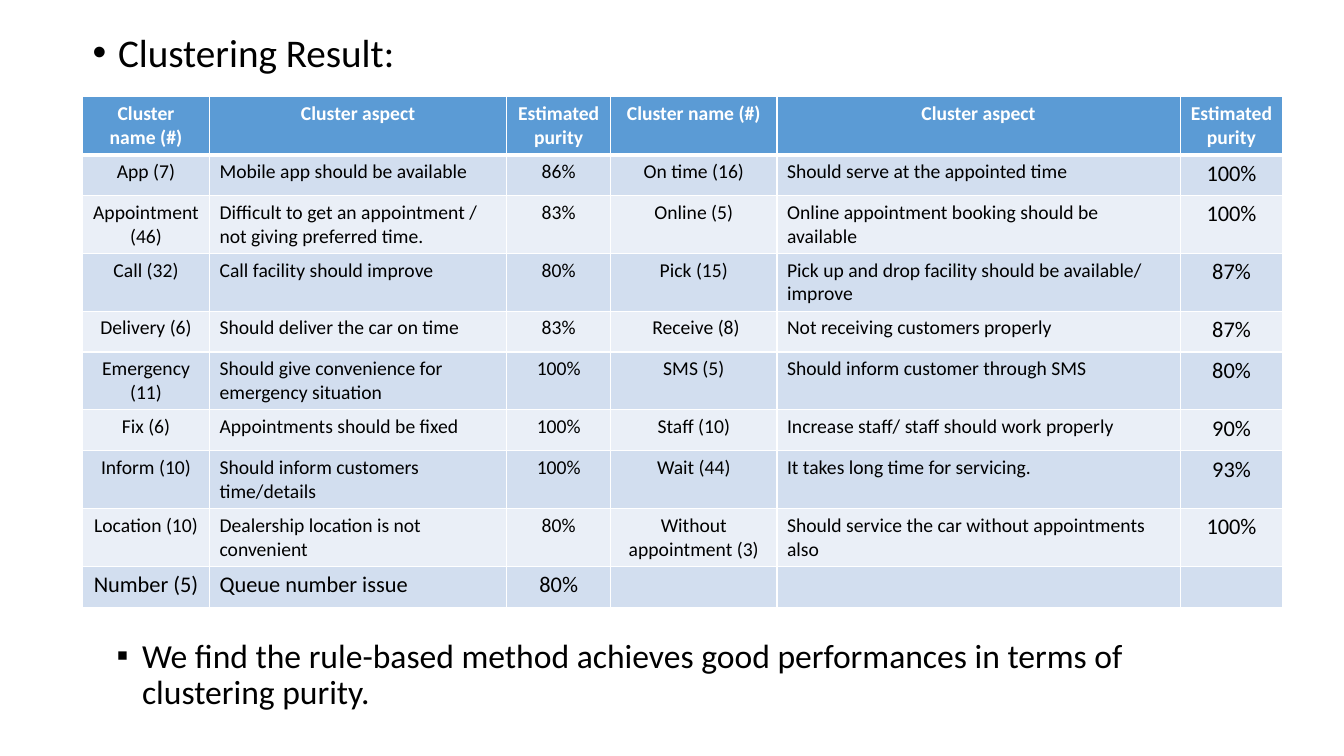
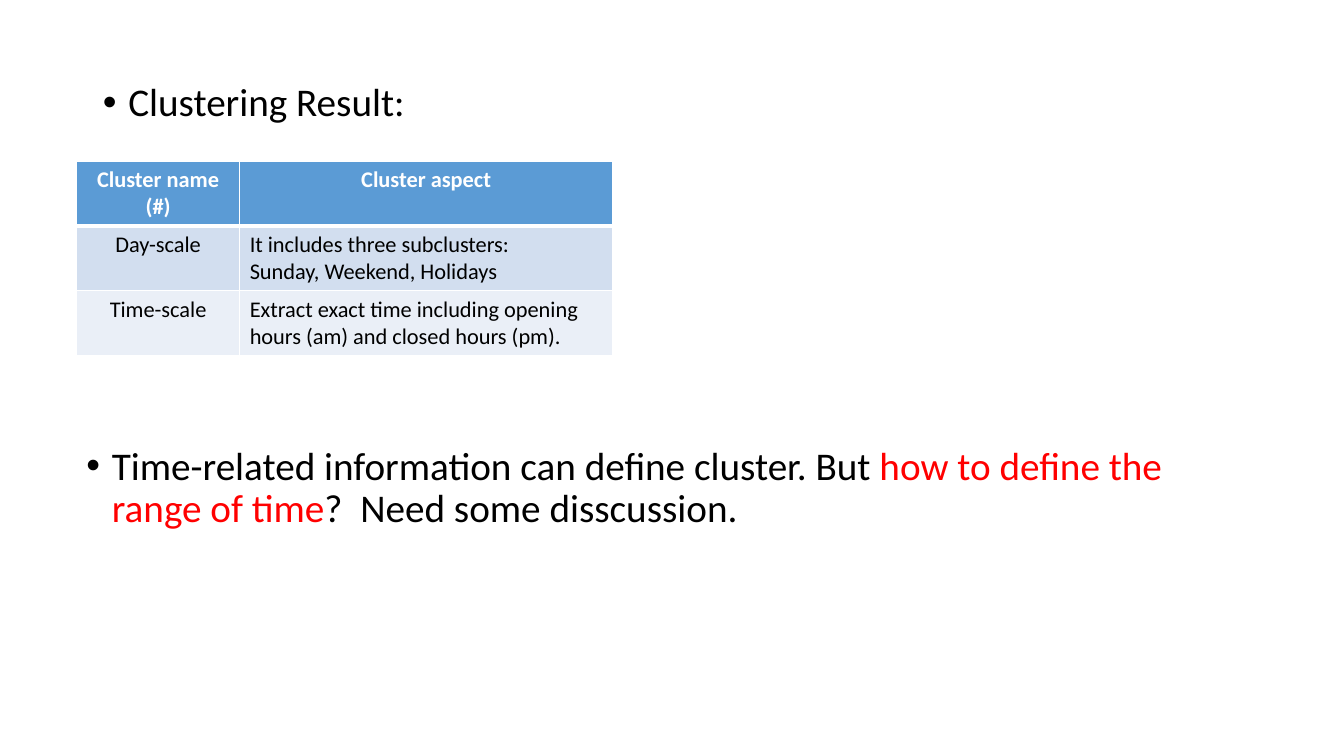
from dataclasses import dataclass

from lxml.etree import SubElement
from pptx import Presentation
from pptx.dml.color import RGBColor
from pptx.enum.text import MSO_ANCHOR, MSO_AUTO_SIZE, PP_ALIGN as Align
from pptx.oxml.ns import qn
from pptx.slide import Slide
from pptx.table import _Cell as Cell
from pptx.text.text import TextFrame, _Paragraph as Paragraph
from pptx.util import Cm, Pt

FONT = "Calibri"
BLACK = RGBColor(0x00, 0x00, 0x00)
WHITE = RGBColor(0xFF, 0xFF, 0xFF)
RED = RGBColor(0xFF, 0x00, 0x00)
HEADER_BLUE = RGBColor(0x5B, 0x9B, 0xD5)
BANDS = (RGBColor(0xD2, 0xDE, 0xEF), RGBColor(0xEA, 0xEF, 0xF7))

TITLE = "Clustering Result:"
NAME, ASPECT, PURITY = "Cluster name (#)", "Cluster aspect", "Estimated purity"
TEXT_WIDTH = 29.21
ROW_HEIGHT = 1.03


@dataclass(frozen=True)
class Span:
    text: str
    color: RGBColor = BLACK


@dataclass(frozen=True)
class Bullet:
    """Bullet style; margin and hang are in centimetres."""
    char: str
    size: int
    margin: float
    space_before: int
    hang: float = 0.64


@dataclass(frozen=True)
class Note:
    left: float
    top: float
    height: float
    bullet: Bullet
    spans: tuple[Span, ...]


@dataclass(frozen=True)
class ClusterTable:
    left: float
    top: float
    widths: tuple[float, ...]
    header: tuple[str, ...]
    rows: tuple[tuple[str, ...], ...]
    header_size: int
    large_size: int = 16

    def body_size(self, row: int, column: int) -> int:
        """The last row and the last column are set in the large size."""
        is_last = row == len(self.rows) or column == len(self.widths) - 1
        return self.large_size if is_last else self.header_size


@dataclass(frozen=True)
class ResultPage:
    title_left: float
    title_top: float
    table: ClusterTable
    note: Note


MAIN_BULLET = Bullet("•", 28, 0.64, 10)
SUB_BULLET = Bullet("▪", 24, 1.91, 5)

PAGES = (
    ResultPage(
        2.08, 0.71,
        ClusterTable(
            2.08, 2.44, (3.2, 7.49, 2.62, 4.19, 10.16, 2.59),
            (NAME, ASPECT, PURITY) * 2,
            (
                ("App (7)", "Mobile app should be available", "86%",
                 "On time (16)", "Should serve at the appointed time", "100%"),
                ("Appointment (46)",
                 "Difficult to get an appointment / not giving preferred time.", "83%",
                 "Online (5)", "Online appointment booking should be available", "100%"),
                ("Call (32)", "Call facility should improve", "80%",
                 "Pick (15)", "Pick up and drop facility should be available/ improve", "87%"),
                ("Delivery (6)", "Should deliver the car on time", "83%",
                 " Receive (8)", "Not receiving customers properly", "87%"),
                ("Emergency (11)", "Should give convenience for emergency situation", "100%",
                 "SMS (5)", "Should inform customer through SMS", "80%"),
                ("Fix (6)", "Appointments should be fixed", "100%",
                 "Staff (10)", "Increase staff/ staff should work properly", "90%"),
                ("Inform (10)", "Should inform customers time/details", "100%",
                 "Wait (44)", "It takes long time for servicing.", "93%"),
                ("Location (10)", "Dealership location is not convenient", "80%",
                 "Without appointment (3)", "Should service the car without appointments also",
                 "100%"),
                ("Number (5)", "Queue number issue", "80%", "", "", ""),
            ),
            header_size=14,
        ),
        Note(1.42, 15.98, 2.67, SUB_BULLET, (
            Span("We find the rule-based method achieves good performances "
                 "in terms of clustering purity."),
        )),
    ),
    ResultPage(
        2.34, 1.96,
        ClusterTable(
            1.93, 4.06, (4.11, 9.4),
            (NAME, ASPECT),
            (
                ("Day-scale", "It includes three subclusters:\nSunday, Weekend, Holidays"),
                ("Time-scale",
                 "Extract exact time including opening hours (am) and closed hours (pm)."),
            ),
            header_size=16,
        ),
        Note(1.93, 11.13, 7.62, MAIN_BULLET, (
            Span("Time-related information can define cluster. But "),
            Span("how to define the range of time", RED),
            Span("?  Need some disscussion."),
        )),
    ),
)


def add_span(para: Paragraph, span: Span, size: int, bold: bool = False) -> None:
    run = para.add_run()
    run.text = span.text
    font = run.font
    font.name, font.size, font.bold = FONT, Pt(size), bold
    font.color.rgb = span.color


def write_bullet(frame: TextFrame, bullet: Bullet, spans: tuple[Span, ...]) -> None:
    frame.word_wrap = True
    frame.auto_size = MSO_AUTO_SIZE.NONE
    frame.vertical_anchor = MSO_ANCHOR.TOP
    para = frame.paragraphs[0]
    para.alignment = Align.LEFT
    para.line_spacing = 0.9
    para.space_before = Pt(bullet.space_before)
    properties = para._p.get_or_add_pPr()
    properties.set("marL", str(Cm(bullet.margin)))
    properties.set("indent", str(-Cm(bullet.hang)))
    SubElement(properties, qn("a:buFont"), typeface="Arial")
    SubElement(properties, qn("a:buChar"), char=bullet.char)
    for span in spans:
        add_span(para, span, bullet.size)


def add_title(page: Slide, left: float, top: float) -> None:
    title = page.shapes.title
    title.left, title.top = Cm(left), Cm(top)
    title.width, title.height = Cm(TEXT_WIDTH), Cm(1.7)
    write_bullet(title.text_frame, MAIN_BULLET, (Span(TITLE),))


def add_note(page: Slide, note: Note) -> None:
    box = page.shapes.add_textbox(
        Cm(note.left), Cm(note.top), Cm(TEXT_WIDTH), Cm(note.height))
    write_bullet(box.text_frame, note.bullet, note.spans)


def set_borders(cell: Cell, top: int, bottom: int) -> None:
    """Draw white cell borders; top and bottom widths are in points."""
    properties = cell._tc.get_or_add_tcPr()
    for side, width in (("L", 1), ("R", 1), ("T", top), ("B", bottom)):
        line = SubElement(properties, qn(f"a:ln{side}"), w=str(Pt(width)))
        fill = SubElement(line, qn("a:solidFill"))
        SubElement(fill, qn("a:srgbClr"), val=str(WHITE))


def fill_cell(cell: Cell, text: str, size: int, row: int, align: Align) -> None:
    is_header = row == 0
    set_borders(cell, top=3 if row == 1 else 1, bottom=3 if is_header else 1)
    cell.fill.solid()
    cell.fill.fore_color.rgb = HEADER_BLUE if is_header else BANDS[(row - 1) % 2]
    frame = cell.text_frame
    for index, line in enumerate(text.splitlines()):
        para = frame.add_paragraph() if index else frame.paragraphs[0]
        para.alignment = align
        add_span(para, Span(line, WHITE if is_header else BLACK), size, is_header)


def add_cluster_table(page: Slide, content: ClusterTable) -> None:
    lines = (content.header, *content.rows)
    table = page.shapes.add_table(
        len(lines), len(content.widths), Cm(content.left), Cm(content.top),
        Cm(sum(content.widths)), Cm(ROW_HEIGHT * len(lines))).table
    table.horz_banding = False
    for column, width in zip(table.columns, content.widths):
        column.width = Cm(width)
    for row, texts in enumerate(lines):
        table.rows[row].height = Cm(ROW_HEIGHT)
        for column, text in enumerate(texts):
            is_aspect = row > 0 and content.header[column] == ASPECT
            size = content.body_size(row, column) if row else content.header_size
            fill_cell(table.cell(row, column), text, size, row,
                      Align.LEFT if is_aspect else Align.CENTER)


def main() -> None:
    deck = Presentation()
    deck.slide_width, deck.slide_height = Cm(33.87), Cm(19.05)
    title_only = deck.slide_layouts.get_by_name("Title Only")
    for result in PAGES:
        page = deck.slides.add_slide(title_only)
        add_title(page, result.title_left, result.title_top)
        add_cluster_table(page, result.table)
        add_note(page, result.note)
    deck.save("out.pptx")


if __name__ == "__main__":
    main()
